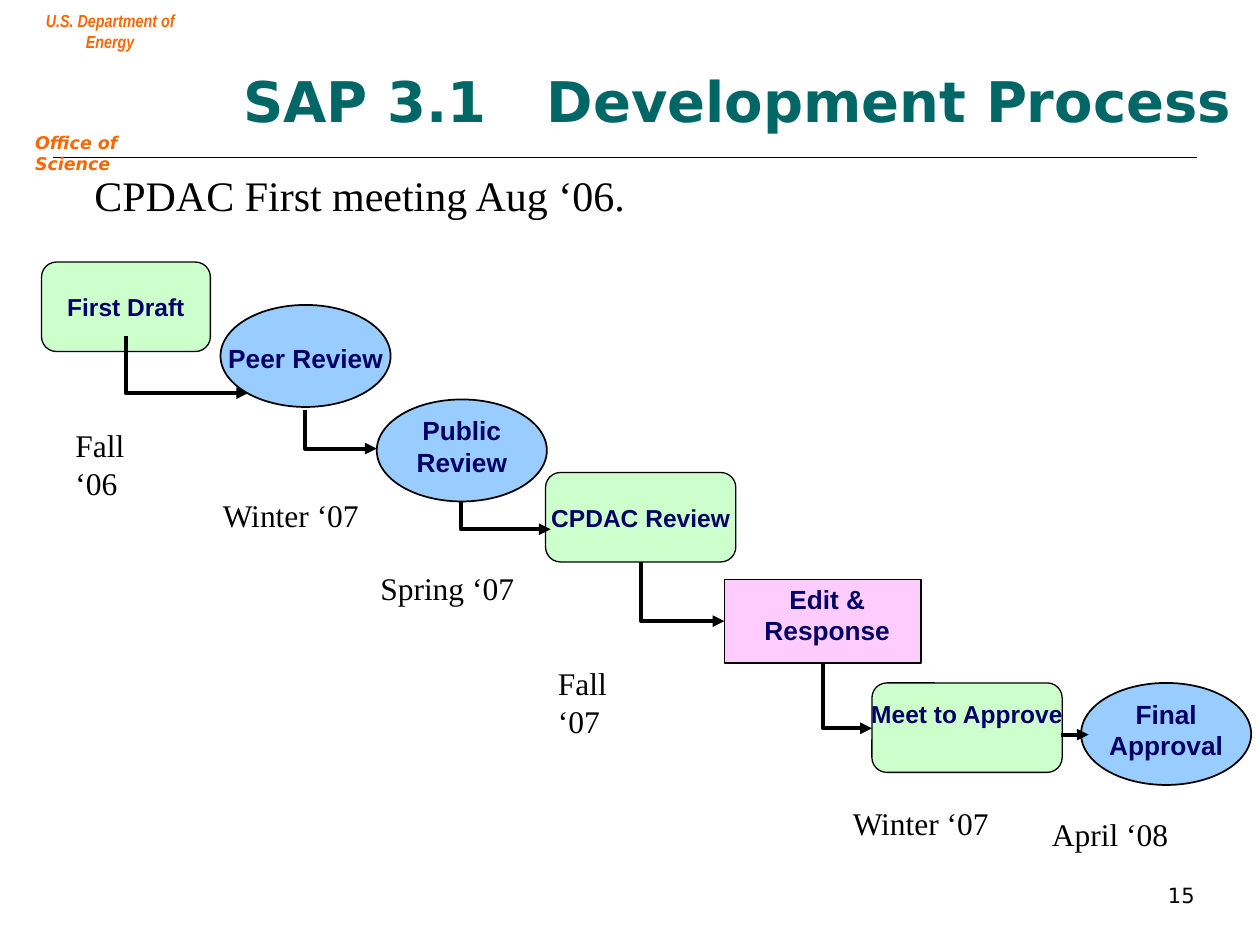
from lxml import etree
from pptx import Presentation
from pptx import util as u
from pptx.dml.color import RGBColor
from pptx.enum import shapes, text
from pptx.oxml.ns import qn

BLACK = RGBColor(0x00, 0x00, 0x00)
ORANGE = RGBColor(0xFF, 0x66, 0x00)
TEAL = RGBColor(0x00, 0x66, 0x66)
NAVY = RGBColor(0x00, 0x00, 0x66)
BLUE = RGBColor(0x99, 0xCC, 0xFF)
GREEN = RGBColor(0xCC, 0xFF, 0xCC)
PINK = RGBColor(0xFF, 0xCC, 0xFF)

SANS, NARROW, HEADING, SERIF = "Arial", "Arial Narrow", "DejaVu Sans", "Times New Roman"
LEFT, CENTER, RIGHT = text.PP_ALIGN.LEFT, text.PP_ALIGN.CENTER, text.PP_ALIGN.RIGHT
KIND = shapes.MSO_SHAPE


def inches(*lengths):
    return [u.Inches(length) for length in lengths]


def write(frame, words, size, font, color, align=LEFT, bold=False, italic=False):
    paragraph = frame.paragraphs[0]
    paragraph.alignment = align
    run = paragraph.add_run()
    run.text = words
    run.font.size = u.Pt(size)
    run.font.name = font
    run.font.color.rgb = color
    run.font.bold = bold
    run.font.italic = italic


def add_label(parent, box, words, size, font, color, wrap=True, **style):
    label = parent.add_textbox(*inches(*box))
    label.text_frame.word_wrap = wrap
    write(label.text_frame, words, size, font, color, **style)
    return label


def add_outlined(parent, kind, box, fill, weight):
    step = parent.add_shape(kind, *inches(*box))
    step.shadow.inherit = False
    step.fill.solid()
    step.fill.fore_color.rgb = fill
    step.line.color.rgb = BLACK
    step.line.width = u.Pt(weight)
    return step


def add_milestone(parent, box, words, bottom_inset=0.05):
    """Rounded green step with its own text."""
    milestone = add_outlined(parent, KIND.ROUNDED_RECTANGLE, box, GREEN, 0.75)
    frame = milestone.text_frame
    frame.word_wrap = False
    frame.vertical_anchor = text.MSO_ANCHOR.MIDDLE
    frame.margin_bottom = u.Inches(bottom_inset)
    write(frame, words, 14, SANS, NAVY, align=CENTER, bold=True)


def add_captioned(parent, kind, box, fill, caption_box, words):
    """Review step grouped with a caption that is wider than its outline."""
    group = parent.add_group_shape()
    add_outlined(group.shapes, kind, box, fill, 1)
    add_label(group.shapes, caption_box, words, 15, SANS, NAVY,
              align=CENTER, bold=True)


def add_line(parent, start, end, weight, arrow=False):
    line = parent.add_connector(shapes.MSO_CONNECTOR.STRAIGHT,
                                *inches(*start, *end))
    line.line.color.rgb = BLACK
    line.line.width = u.Pt(weight)
    properties = line._element.spPr
    if arrow:
        outline = properties.find(qn("a:ln"))
        etree.SubElement(outline, qn("a:tailEnd"), type="triangle")
    etree.SubElement(properties, qn("a:effectLst"))
    return line


def add_down_right_arrow(parent, start, end):
    """One-bend arrow: a quarter turn and a flip make it go down first."""
    arrow = add_line(parent, start, end, 2.25, arrow=True)
    (x1, y1), (x2, y2) = start, end
    across, down = x2 - x1, y2 - y1
    arrow.left, arrow.top, arrow.width, arrow.height = inches(
        (x1 + x2 - down) / 2, (y1 + y2 - across) / 2, down, across)
    properties = arrow._element.spPr
    properties.find(qn("a:prstGeom")).set("prst", "bentConnector2")
    transform = properties.find(qn("a:xfrm"))
    transform.set("rot", "16200000")
    transform.set("flipH", "1")


def add_title(slide):
    title = slide.shapes.title
    title.left, title.top, title.width, title.height = inches(1.83, 0.42, 8.17, 0.69)
    frame = title.text_frame
    frame.word_wrap = True
    frame.auto_size = text.MSO_AUTO_SIZE.NONE
    frame.vertical_anchor = text.MSO_ANCHOR.BOTTOM
    # The tab stop sets the gap after the report number
    stops = etree.SubElement(frame.paragraphs[0]._p.get_or_add_pPr(), qn("a:tabLst"))
    etree.SubElement(stops, qn("a:tab"), pos=str(u.Inches(2.41)), algn="l")
    write(frame, "SAP 3.1\tDevelopment Process", 32, HEADING, TEAL, bold=True)


def main():
    deck = Presentation()
    deck.slide_width, deck.slide_height = inches(10, 7.5)
    slide = deck.slides.add_slide(deck.slide_layouts[5])
    canvas = slide.shapes

    # Header
    add_line(canvas, (0.42, 1.25), (9.5, 1.25), 1)
    add_label(canvas, (0.18, 1, 1.27, 0.27), "Office of Science",
              10, HEADING, ORANGE, bold=True, italic=True)
    add_label(canvas, (0.06, 0.03, 1.63, 0.27), "U.S. Department of Energy",
              10, NARROW, ORANGE, wrap=False, align=CENTER, bold=True, italic=True)
    add_title(slide)
    add_label(canvas, (0.65, 1.3, 4.51, 0.5), "CPDAC First meeting Aug ‘06.",
              24, SERIF, BLACK, wrap=False)

    # Process steps
    add_milestone(canvas, (0.33, 2.08, 1.34, 0.71), "First Draft")
    add_milestone(canvas, (4.33, 3.75, 1.51, 0.71), "CPDAC Review")
    add_milestone(canvas, (6.92, 5.42, 1.51, 0.71), "Meet to Approve", 0.27)
    for left, top, caption_drop, caption_height, words in (
            (1.75, 2.42, 0.25, 0.35, "Peer Review"),
            (2.99, 3.17, 0.07, 0.6, "Public Review"),
            (8.58, 5.42, 0.07, 0.6, "Final Approval")):
        add_captioned(canvas, KIND.OVAL, (left, top, 1.35, 0.81), BLUE,
                      (left - 0.07, top + caption_drop, 1.49, caption_height), words)
    add_captioned(canvas, KIND.RECTANGLE, (5.75, 4.6, 1.56, 0.66), PINK,
                  (5.82, 4.58, 1.49, 0.6), "Edit & Response")

    # Arrows from step to step
    for start, end in (((1, 2.67), (1.97, 3.12)),
                       ((2.42, 3.25), (2.99, 3.56)),
                       ((3.66, 3.98), (4.37, 4.2)),
                       ((5.09, 4.46), (5.75, 4.93)),
                       ((6.53, 5.27), (6.92, 5.78))):
        add_down_right_arrow(canvas, start, end)
    add_line(canvas, (8.42, 5.83), (8.64, 5.83), 2.25, arrow=True)

    # Dates
    for left, top, width, date in ((0.5, 3.33, 0.98, "Fall ‘06"),
                                   (1.67, 3.89, 1.29, "Winter ‘07"),
                                   (2.92, 4.47, 1.26, "Spring ‘07"),
                                   (4.33, 5.22, 0.98, "Fall ‘07"),
                                   (6.67, 6.33, 1.5, "Winter ‘07"),
                                   (8.25, 6.42, 1.75, "April ‘08")):
        add_label(canvas, (left, top, width, 0.4), date, 18, SERIF, BLACK)

    # Slide number
    number = add_label(canvas, (7.25, 6.92, 2.33, 0.33), "15",
                       12, HEADING, BLACK, align=RIGHT)
    number.text_frame.vertical_anchor = text.MSO_ANCHOR.BOTTOM

    deck.save("out.pptx")


if __name__ == "__main__":
    main()
